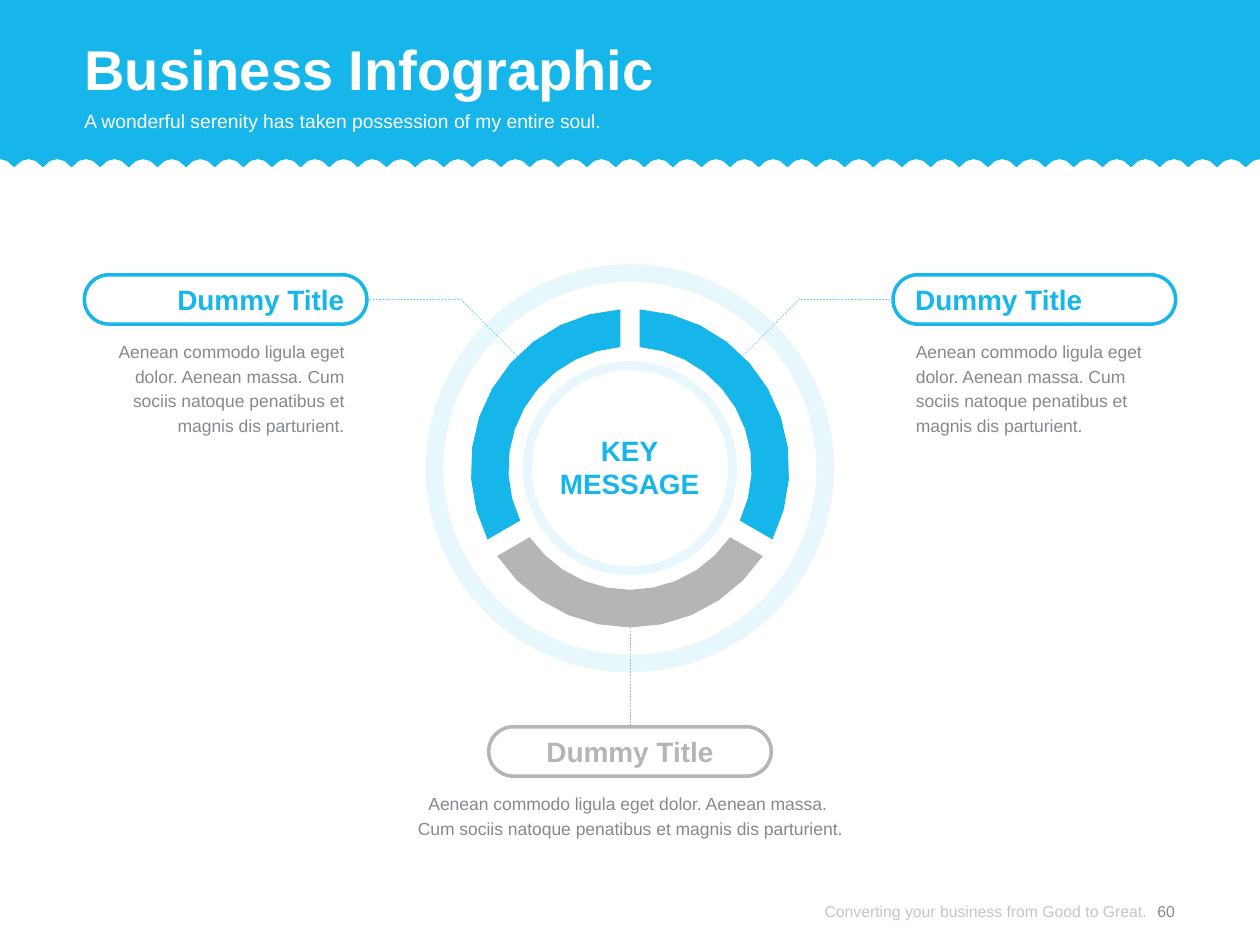
from dataclasses import dataclass
from math import asin, cos, pi, radians, sin, sqrt

from lxml.etree import SubElement
from pptx import Presentation
from pptx.dml.color import RGBColor
from pptx.enum.dml import MSO_LINE
from pptx.enum.shapes import MSO_CONNECTOR, MSO_SHAPE
from pptx.enum.text import MSO_ANCHOR as Anchor, PP_ALIGN as Align
from pptx.oxml.ns import qn
from pptx.util import Pt

COLORS = {
    "blue": "16B6EA",
    "gray": "B5B5B5",
    "body": "85898F",
    "footer": "8C8C8C",
    "white": "FFFFFF",
}
FONT = "Arial"
WIDTH, HEIGHT = 720, 540
CX, CY = 360, 267.6
PILL_W, PILL_H = 161.5, 28.2
TITLE_W = 133
SCALLOPS, SCALLOP_STEPS = 44, 4
SCALLOP_TOP, SCALLOP_RADIUS, SCALLOP_DEPTH = 90.9, 8.2, 4.7
SEGMENT_OUTER, SEGMENT_INNER, HALF_GAP, ARC_STEPS = 91, 69.5, 5.5, 10
BODY = "Aenean commodo ligula eget dolor. Aenean massa. Cum sociis natoque penatibus et magnis dis parturient."
BODY_LINES = BODY.replace("massa. ", "massa. \n")

Point = tuple[float, float]


@dataclass
class Ring:
    diameter: float
    thickness: float


@dataclass
class Segment:
    start: float
    color: str


@dataclass
class Label:
    text: str
    left: float
    top: float
    width: float
    height: float
    size: float
    color: str
    align: Align = Align.LEFT
    bold: bool = False
    anchor: Anchor = Anchor.TOP
    spacing: float | None = None
    alpha: int | None = None


@dataclass
class Callout:
    pill_left: float
    top: float
    title_left: float
    body_left: float
    body_width: float
    body_height: float
    body: str
    color: str
    align: Align


RINGS = [Ring(122.4, 5.1), Ring(233.3, 10.1)]
SEGMENTS = [Segment(30, "gray"), Segment(150, "blue"), Segment(270, "blue")]
LEADERS = [
    [(295.4, 203.2), (263.5, 171.2), (211, 171.2)],
    [(424.6, 203.2), (456.5, 171.2), (509, 171.2)],
]
CALLOUTS = [
    Callout(279.25, 415.3, 293.5, 232.5, 255, 28, BODY_LINES, "gray", Align.CENTER),
    Callout(48.2, 157, 63.8, 57.7, 139, 57, BODY, "blue", Align.RIGHT),
    Callout(510.3, 157, 523, 523.4, 139, 57, BODY, "blue", Align.LEFT),
]
LABELS = [
    Label("Business Infographic", 48.3, 13.5, 624, 47, 32, "white",
          bold=True, anchor=Anchor.MIDDLE, spacing=42),
    Label("A wonderful serenity has taken possession of my entire soul.",
          48.2, 62.3, 624, 28, 11, "white"),
    Label("Converting your business from Good to Great.", 435.2, 501, 220, 39,
          9, "footer", Align.RIGHT, anchor=Anchor.MIDDLE, alpha=50),
    Label("60", 649.3, 501, 34, 39, 9, "body", Align.CENTER, anchor=Anchor.MIDDLE),
    Label("KEY\nMESSAGE", 293.3, 247.7, TITLE_W, 39, 16, "blue", Align.CENTER, bold=True),
]


def rgb(color: str) -> RGBColor:
    return RGBColor.from_string(COLORS[color])


def set_alpha(element, percent: int) -> None:
    for clr in element.iter(qn("a:srgbClr")):
        SubElement(clr, qn("a:alpha")).set("val", str(percent * 1000))


def paint(sp, fill: str | None = None, line: str | None = None, width: float = 0) -> None:
    sp.shadow.inherit = False
    if fill:
        sp.fill.solid()
        sp.fill.fore_color.rgb = rgb(fill)
    else:
        sp.fill.background()
    if line:
        sp.line.color.rgb = rgb(line)
        sp.line.width = Pt(width)
    else:
        sp.line.fill.background()


def add_outline(s, points: list[Point], close: bool = True):
    start, *rest = [(Pt(x), Pt(y)) for x, y in points]
    builder = s.shapes.build_freeform(*start, scale=1.0)
    builder.add_line_segments(rest, close=close)
    return builder.convert_to_shape()


def add_header(s) -> None:
    pitch = WIDTH / SCALLOPS
    edge = []
    for i in range(SCALLOPS * SCALLOP_STEPS + 1):
        x = i * pitch / SCALLOP_STEPS
        dx = x - round(x / pitch) * pitch
        depth = SCALLOP_RADIUS - sqrt(SCALLOP_RADIUS**2 - dx**2)
        edge.append((x, SCALLOP_TOP + min(depth, SCALLOP_DEPTH)))
    paint(add_outline(s, [(0, 0), *edge, (WIDTH, 0)]), "blue")


def add_ring(s, ring: Ring) -> None:
    d = ring.diameter
    sp = s.shapes.add_shape(MSO_SHAPE.DONUT, Pt(CX - d / 2), Pt(CY - d / 2), Pt(d), Pt(d))
    sp.adjustments[0] = ring.thickness / d
    paint(sp, "blue")
    set_alpha(sp._element, 10)


def arc(radius: float, start: float) -> list[Point]:
    trim = asin(HALF_GAP / radius)
    first, sweep = radians(start) + trim, 2 * pi / 3 - 2 * trim
    angles = [first + sweep * i / ARC_STEPS for i in range(ARC_STEPS + 1)]
    return [(CX + radius * cos(a), CY + radius * sin(a)) for a in angles]


def add_segment(s, segment: Segment) -> None:
    outer = arc(SEGMENT_OUTER, segment.start)
    inner = arc(SEGMENT_INNER, segment.start)
    paint(add_outline(s, outer + inner[::-1]), segment.color)


def add_leader(s, points: list[Point]) -> None:
    sp = add_outline(s, points, close=False)
    paint(sp, line="blue", width=0.25)
    sp.line.dash_style = MSO_LINE.DASH


def add_label(s, label: Label) -> None:
    sp = s.shapes.add_textbox(Pt(label.left), Pt(label.top), Pt(label.width), Pt(label.height))
    tf = sp.text_frame
    tf.word_wrap = True
    tf.vertical_anchor = label.anchor
    tf.margin_left = tf.margin_top = tf.margin_right = tf.margin_bottom = 0
    tf.text = label.text
    for p in tf.paragraphs:
        p.alignment = label.align
        if label.spacing:
            p.line_spacing = Pt(label.spacing)
        for r in p.runs:
            r.font.name, r.font.size, r.font.bold = FONT, Pt(label.size), label.bold
            r.font.color.rgb = rgb(label.color)
    if label.alpha:
        set_alpha(sp._element, label.alpha)


def add_callout(s, c: Callout):
    add_label(s, Label(c.body, c.body_left, c.top + 36, c.body_width, c.body_height,
                       10, "body", c.align, spacing=14))
    add_label(s, Label("Dummy Title", c.title_left, c.top + 4.4, TITLE_W, 19.4,
                       16, c.color, c.align, bold=True))
    pill = s.shapes.add_shape(MSO_SHAPE.ROUNDED_RECTANGLE, Pt(c.pill_left), Pt(c.top),
                              Pt(PILL_W), Pt(PILL_H))
    pill.adjustments[0] = 0.5
    paint(pill, line=c.color, width=2)
    return pill


def add_stem(s, pill) -> None:
    line = s.shapes.add_connector(MSO_CONNECTOR.STRAIGHT, Pt(CX), Pt(CY + SEGMENT_OUTER),
                                  Pt(CX), pill.top)
    line.end_connect(pill, 0)
    line.line.color.rgb = rgb("gray")
    line.line.width = Pt(0.25)
    line.line.dash_style = MSO_LINE.DASH
    SubElement(line._element.spPr, qn("a:effectLst"))


def main() -> None:
    prs = Presentation()
    prs.slide_width, prs.slide_height = Pt(WIDTH), Pt(HEIGHT)
    s = prs.slides.add_slide(prs.slide_layouts[6])
    add_header(s)
    for ring in RINGS:
        add_ring(s, ring)
    for points in LEADERS:
        add_leader(s, points)
    for segment in SEGMENTS:
        add_segment(s, segment)
    for label in LABELS:
        add_label(s, label)
    pills = [add_callout(s, c) for c in CALLOUTS]
    add_stem(s, pills[0])
    prs.save("out.pptx")


if __name__ == "__main__":
    main()
